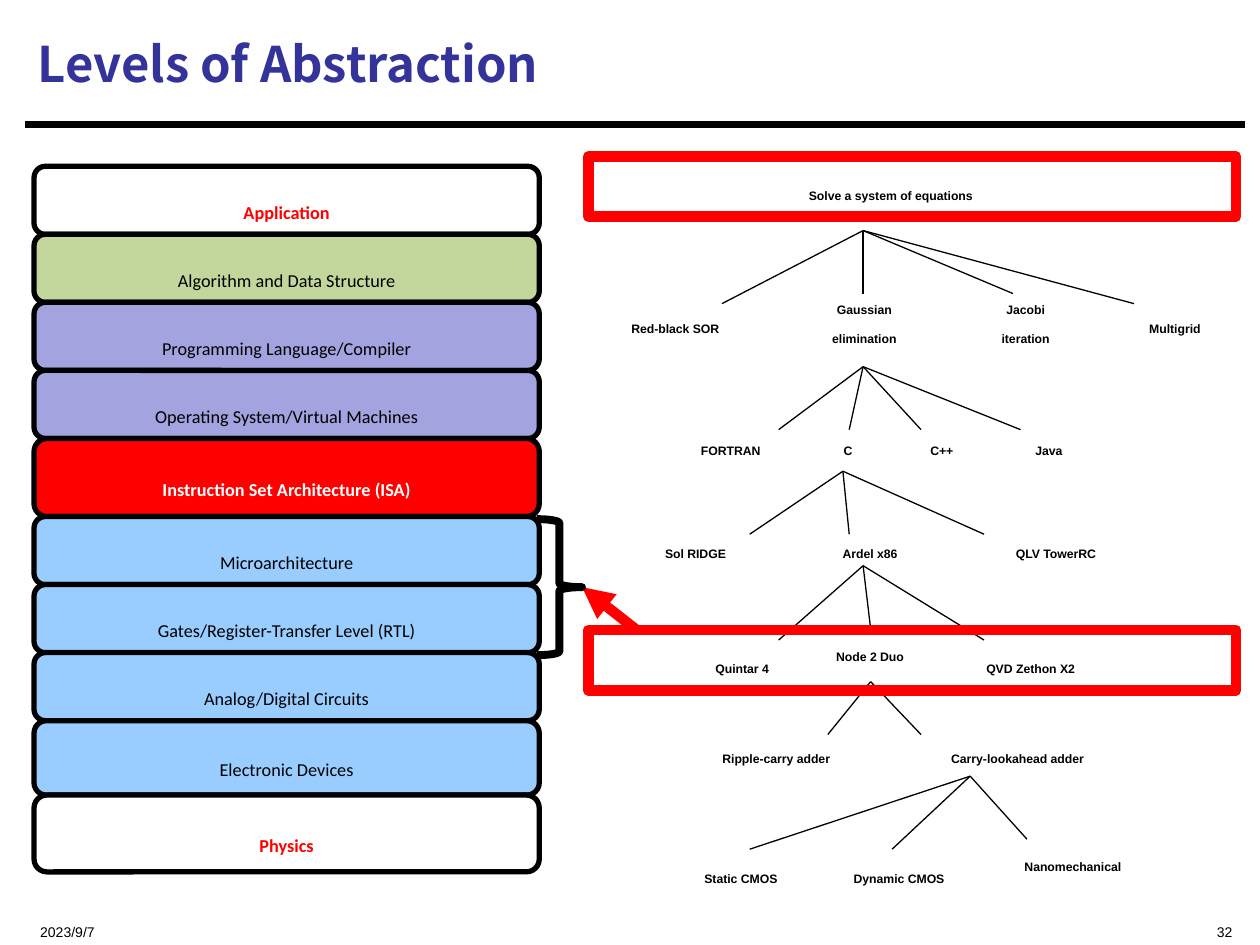
from dataclasses import dataclass

from lxml.etree import SubElement
from pptx import Presentation
from pptx.dml.color import RGBColor
from pptx.enum.shapes import MSO_CONNECTOR, MSO_SHAPE
from pptx.enum.text import MSO_ANCHOR, PP_ALIGN
from pptx.oxml.ns import qn
from pptx.util import Cm, Pt

BLACK, WHITE, RED = "000000", "FFFFFF", "FF0000"
GREEN, VIOLET, BLUE, NAVY = "C3D69B", "A3A3E0", "99CCFF", "333399"


@dataclass
class Level:
    label: str
    height: float
    fill: str
    ink: str = BLACK
    bold: bool = False


@dataclass
class Choice:
    label: str
    left: float
    top: float
    width: float
    height: float = 0.3


@dataclass
class Fan:
    origin: tuple[float, float]
    ends: list[tuple[float, float]]


LEVELS = [
    Level("Application", 0.54, WHITE, RED, True),
    Level("Algorithm and Data Structure", 0.54, GREEN),
    Level("Programming Language/Compiler", 0.54, VIOLET),
    Level("Operating System/Virtual Machines", 0.54, VIOLET),
    Level("Instruction Set Architecture (ISA)", 0.62, RED, WHITE, True),
    Level("Microarchitecture", 0.54, BLUE),
    Level("Gates/Register-Transfer Level (RTL)", 0.54, BLUE),
    Level("Analog/Digital Circuits", 0.54, BLUE),
    Level("Electronic Devices", 0.59, BLUE),
    Level("Physics", 0.61, WHITE, RED, True),
]

CHOICES = [
    Choice("Solve a system of equations", 5.62, 1.33, 2.9),
    Choice("Gaussian\nelimination", 6.22, 2.24, 1.28, 0.51),
    Choice("Jacobi\niteration", 7.63, 2.24, 1.02, 0.51),
    Choice("Red-black SOR", 4.53, 2.39, 1.66),
    Choice("Multigrid", 8.79, 2.39, 1.07),
    Choice("FORTRAN", 5.2, 3.36, 1.2),
    Choice("C", 6.54, 3.36, 0.38),
    Choice("C++", 7.17, 3.36, 0.61),
    Choice("Java", 7.99, 3.36, 0.67),
    Choice("Ardel x86", 6.39, 4.17, 1.03),
    Choice("Sol RIDGE", 4.85, 4.17, 1.34),
    Choice("QLV TowerRC", 7.62, 4.17, 1.52),
    Choice("Quintar 4", 5.3, 5.09, 1.18),
    Choice("Node 2 Duo", 6.26, 4.99, 1.29),
    Choice("QVD Zethon X2", 7.35, 5.09, 1.66),
    Choice("Ripple-carry adder", 5.17, 5.8, 1.98),
    Choice("Carry-lookahead adder", 6.88, 5.8, 2.39),
    Choice("Static CMOS", 5.17, 6.75, 1.42),
    Choice("Dynamic CMOS", 6.28, 6.75, 1.71),
    Choice("Nanomechanical", 7.61, 6.66, 1.81),
]

FANS = [
    Fan((6.85, 1.83), [(5.73, 2.41), (6.85, 2.33), (8.04, 2.33), (9, 2.41)]),
    Fan((6.85, 2.91), [(6.18, 3.41), (6.74, 3.41), (7.31, 3.41), (8.1, 3.41)]),
    Fan((6.69, 3.74), [(5.95, 4.24), (6.74, 4.24), (7.81, 4.24)]),
    Fan((6.85, 4.49), [(6.18, 5.08), (6.91, 4.99), (7.81, 5.08)]),
    Fan((6.91, 5.41), [(6.57, 5.83), (7.31, 5.83)]),
    Fan((7.7, 6.16), [(5.95, 6.74), (7.08, 6.74), (8.15, 6.66)]),
]


def length(inches: float) -> Cm:
    return Cm(inches * 2.54)


def color(code: str) -> RGBColor:
    return RGBColor.from_string(code)


def write(shape, text: str, *, size: float, font: str = "Arial", ink: str = BLACK,
          bold: bool = False, align=PP_ALIGN.CENTER, anchor=MSO_ANCHOR.TOP,
          pitch: float | None = None) -> None:
    frame = shape.text_frame
    frame.word_wrap = True
    frame.vertical_anchor = anchor
    frame.text = text
    for paragraph in frame.paragraphs:
        paragraph.alignment = align
        paragraph.space_before = paragraph.space_after = Pt(0)
        if pitch:
            paragraph.line_spacing = Pt(pitch)
        for run in paragraph.runs:
            run.font.size = Pt(size)
            run.font.name = font
            run.font.bold = bold
            run.font.color.rgb = color(ink)
            if font.startswith("Noto"):
                SubElement(run.font._element, qn("a:ea"), typeface=font)


def add_label(slide, box: tuple[float, ...], text: str, **style) -> None:
    write(slide.shapes.add_textbox(*map(length, box)), text, **style)


def add_outline(slide, preset, box: tuple[float, ...], line: str, weight: float,
                fill: str | None = None):
    shape = slide.shapes.add_shape(preset, *map(length, box))
    shape.shadow.inherit = False
    shape.line.color.rgb = color(line)
    shape.line.width = Pt(weight)
    if fill:
        shape.fill.solid()
        shape.fill.fore_color.rgb = color(fill)
    else:
        shape.fill.background()
    return shape


def add_line(slide, start: tuple[float, float], end: tuple[float, float],
             ink: str = BLACK, weight: float = 0.75, arrow: bool = False) -> None:
    line = slide.shapes.add_connector(MSO_CONNECTOR.STRAIGHT, *map(length, start + end))
    line.line.color.rgb = color(ink)
    line.line.width = Pt(weight)
    properties = line._element.spPr
    if arrow:
        SubElement(properties.find(qn("a:ln")), qn("a:tailEnd"), type="triangle")
    SubElement(properties, qn("a:effectLst"))


def add_level(slide, level: Level, top: float) -> None:
    box = add_outline(slide, MSO_SHAPE.ROUNDED_RECTANGLE,
                      (0.27, top, 4.01, level.height), BLACK, 3, level.fill)
    write(box, level.label, size=10.4, font="Calibri", ink=level.ink,
          bold=level.bold, anchor=MSO_ANCHOR.MIDDLE, pitch=25.5)


def main() -> None:
    deck = Presentation()
    deck.slide_width, deck.slide_height = length(10), length(7.5)
    slide = deck.slides.add_slide(deck.slide_layouts[5])

    add_line(slide, (0.2, 0.99), (9.88, 0.99), weight=3.75)
    title = slide.shapes.title
    title.left, title.top, title.width, title.height = map(length, (0.2, 0.08, 9.67, 0.84))
    write(title, "Levels of Abstraction", size=28, font="Noto Sans CJK SC", ink=NAVY,
          bold=True, align=PP_ALIGN.LEFT, anchor=MSO_ANCHOR.MIDDLE)
    add_label(slide, (0.22, 7.15, 2.5, 0.27), "2023/9/7", size=8,
              align=PP_ALIGN.LEFT, pitch=19)
    add_label(slide, (6.88, 7.15, 3, 0.27), "32", size=8,
              align=PP_ALIGN.RIGHT, pitch=19)

    for choice in CHOICES:
        add_label(slide, (choice.left, choice.top, choice.width, choice.height),
                  choice.label, size=7, bold=True, pitch=16.5)
    for fan in FANS:
        for end in fan.ends:
            add_line(slide, fan.origin, end)
    for top in (5, 1.24):
        add_outline(slide, MSO_SHAPE.RECTANGLE, (4.67, top, 5.14, 0.48), RED, 6)

    top = 1.32
    for level in LEVELS:
        add_level(slide, level, top)
        top += level.height

    add_line(slide, (5.04, 4.99), (4.62, 4.66), RED, 6, arrow=True)
    add_outline(slide, MSO_SHAPE.RIGHT_BRACE, (4.26, 4.12, 0.36, 1.08), BLACK, 4.5)
    deck.save("out.pptx")


if __name__ == "__main__":
    main()
